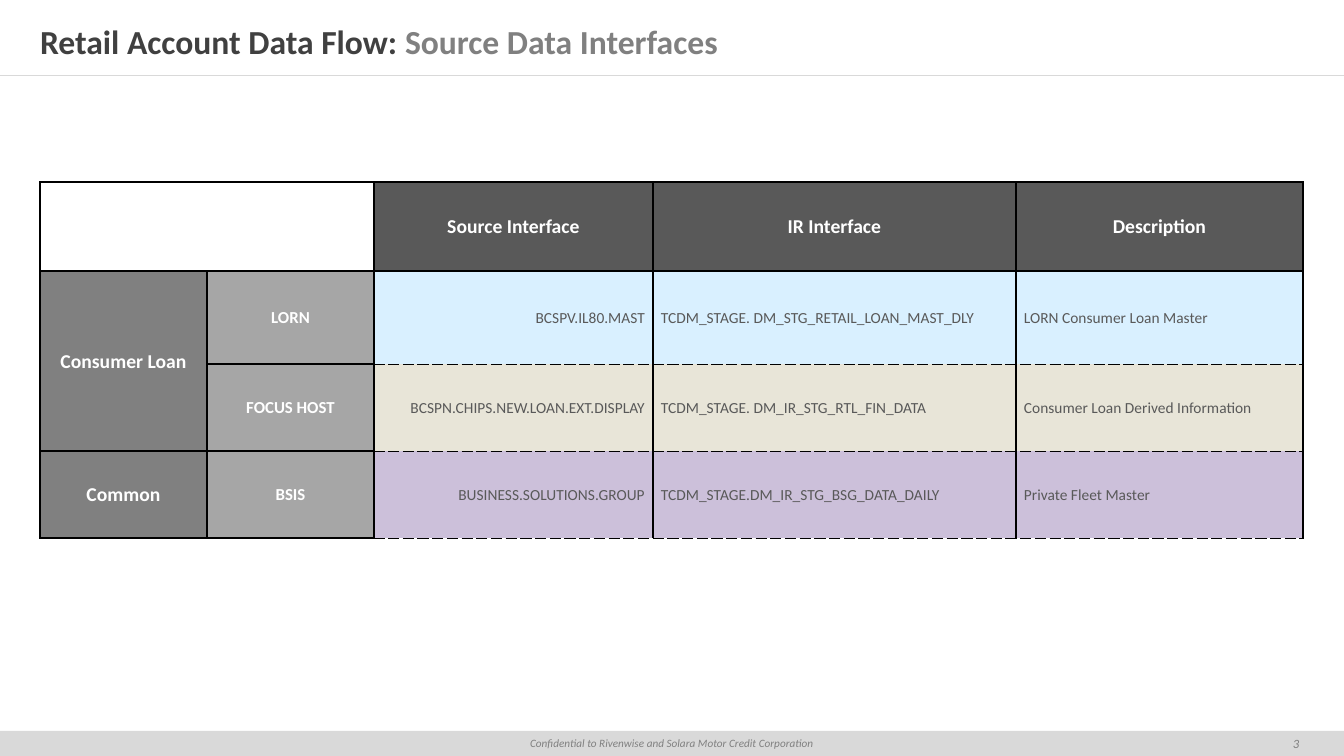
"""Build the source data interfaces slide."""
from lxml import etree
from pptx import Presentation
from pptx.dml.color import RGBColor
from pptx.enum.shapes import MSO_CONNECTOR, MSO_SHAPE
from pptx.enum.text import MSO_ANCHOR, PP_ALIGN
from pptx.oxml.ns import qn
from pptx.util import Pt

LEFT, MID, RIGHT = PP_ALIGN.LEFT, PP_ALIGN.CENTER, PP_ALIGN.RIGHT
CENTRE = MSO_ANCHOR.MIDDLE
RECT, LINE = MSO_SHAPE.RECTANGLE, MSO_CONNECTOR.STRAIGHT

HEX = {"white": "FFFFFF", "black": "000000", "title": "404040", "grey": "808080",
       "head": "595959", "system": "A6A6A6", "rule": "D9D9D9",
       "blue": "D9F0FF", "sand": "E8E5D8", "lilac": "CCC0DA"}
TITLE = [("Retail Account Data Flow: ", "title"), ("Source Data Interfaces", "grey")]
FOOTER = "Confidential to Rivenwise and Solara Motor Credit Corporation"
PAGE = "3"
ROWS = [
    ("", "", "Source Interface", "IR Interface", "Description"),
    ("Consumer Loan", "LORN", "BCSPV.IL80.MAST",
     "TCDM_STAGE. DM_STG_RETAIL_LOAN_MAST_DLY", "LORN Consumer Loan Master"),
    ("", "FOCUS HOST", "BCSPN.CHIPS.NEW.LOAN.EXT.DISPLAY",
     "TCDM_STAGE. DM_IR_STG_RTL_FIN_DATA", "Consumer Loan Derived Information"),
    ("Common", "BSIS", "BUSINESS.SOLUTIONS.GROUP",
     "TCDM_STAGE.DM_IR_STG_BSG_DATA_DAILY", "Private Fleet Master"),
]
BANDS = ["head", "blue", "sand", "lilac"]
WIDTHS = [167, 167, 279, 363, 287]
HEIGHTS = [89, 93, 87, 87]
MERGES = [(0, 0, 0, 1), (1, 0, 2, 0)]
WIDE, HIGH = 1344, 756
FONT = "Calibri"


def px(size):
    return round(size * 914400 / 100.8)


def box(x, y, w, h):
    return [px(v) for v in (x, y, w, h)]


def color(name):
    return RGBColor.from_string(HEX[name])


def style(para, size, name, align=LEFT, bold=False, italic=False):
    para.alignment = align
    font = para.font
    font.name, font.size, font.bold, font.italic = FONT, Pt(size), bold, italic
    font.color.rgb = color(name)


def inset(frame, left, top, right, bottom):
    frame.margin_left, frame.margin_top = px(left), px(top)
    frame.margin_right, frame.margin_bottom = px(right), px(bottom)
    frame.vertical_anchor = CENTRE


def border(cell, side, points, dash):
    line = etree.SubElement(cell._tc.get_or_add_tcPr(), qn("a:ln" + side), w=str(Pt(points)))
    fill = etree.SubElement(line, qn("a:solidFill"))
    etree.SubElement(fill, qn("a:srgbClr"), val=HEX["black"])
    etree.SubElement(line, qn("a:prstDash"), val=dash)


def look(row, col):
    """Return fill, text size, text colour, alignment and bold for a cell."""
    if row == 0:
        return ("head" if col > 1 else "white"), 14, "white", MID, True
    if col == 0:
        return "grey", 14, "white", MID, True
    if col == 1:
        return "system", 12, "white", MID, True
    return BANDS[row], 11, "head", RIGHT if col == 2 else LEFT, False


def edges(row, col):
    """Return the width and dash of each border of a cell."""
    solid, dashed = (1, "solid"), (0.5, "dash")
    data = row > 0 and col > 1
    top = dashed if data and row > 1 else solid
    if row == 0 and col > 1:
        top = (1.5, "solid")
    return {"L": solid, "R": solid, "T": top, "B": dashed if data else solid}


def add_bar(slide):
    bar = slide.shapes.add_shape(RECT, *box(0, 731, WIDE, 25))
    bar.shadow.inherit = False
    bar.fill.solid()
    bar.fill.fore_color.rgb = color("rule")
    bar.line.fill.background()
    frame = bar.text_frame
    inset(frame, 10, 0, 10, 0)
    frame.text = FOOTER
    style(frame.paragraphs[0], 8, "grey", MID, italic=True)


def add_rule(slide):
    rule = slide.shapes.add_connector(LINE, 0, px(75), px(WIDE), px(75))
    rule.line.color.rgb = color("rule")
    rule.line.width = Pt(0.25)
    etree.SubElement(rule._element.spPr, qn("a:effectLst"))


def add_page(slide):
    frame = slide.shapes.add_textbox(*box(1260, 731, 72, 25)).text_frame
    frame.word_wrap = True
    inset(frame, 10, 10, 10, 10)
    frame.text = PAGE
    style(frame.paragraphs[0], 9, "grey", MID, italic=True)


def add_title(slide):
    frame = slide.shapes.add_textbox(*box(0, 17, WIDE, 48)).text_frame
    frame.word_wrap = True
    inset(frame, 40, 20, 40, 20)
    para = frame.paragraphs[0]
    style(para, 24, "title", bold=True)
    for text, name in TITLE:
        run = para.add_run()
        run.text = text
        run.font.color.rgb = color(name)


def add_grid(slide):
    place = box(40, 182, sum(WIDTHS), sum(HEIGHTS))
    table = slide.shapes.add_table(len(ROWS), len(WIDTHS), *place).table
    table.horz_banding = table.first_row = False
    for col, width in zip(table.columns, WIDTHS):
        col.width = px(width)
    for row, height in zip(table.rows, HEIGHTS):
        row.height = px(height)
    for top, left, bottom, right in MERGES:
        table.cell(top, left).merge(table.cell(bottom, right))
    for r, texts in enumerate(ROWS):
        for c, text in enumerate(texts):
            cell = table.cell(r, c)
            fill, size, ink, align, bold = look(r, c)
            inset(cell, 8 if align == LEFT else 1, 1, 8 if align == RIGHT else 1, 0)
            for side, (points, dash) in edges(r, c).items():
                border(cell, side, points, dash)
            cell.fill.solid()
            cell.fill.fore_color.rgb = color(fill)
            cell.text = text
            style(cell.text_frame.paragraphs[0], size, ink, align, bold)


def main():
    deck = Presentation()
    deck.slide_width, deck.slide_height = px(WIDE), px(HIGH)
    slide = deck.slides.add_slide(deck.slide_layouts[6])
    for add in (add_bar, add_rule, add_page, add_title, add_grid):
        add(slide)
    deck.save("out.pptx")


if __name__ == "__main__":
    main()
